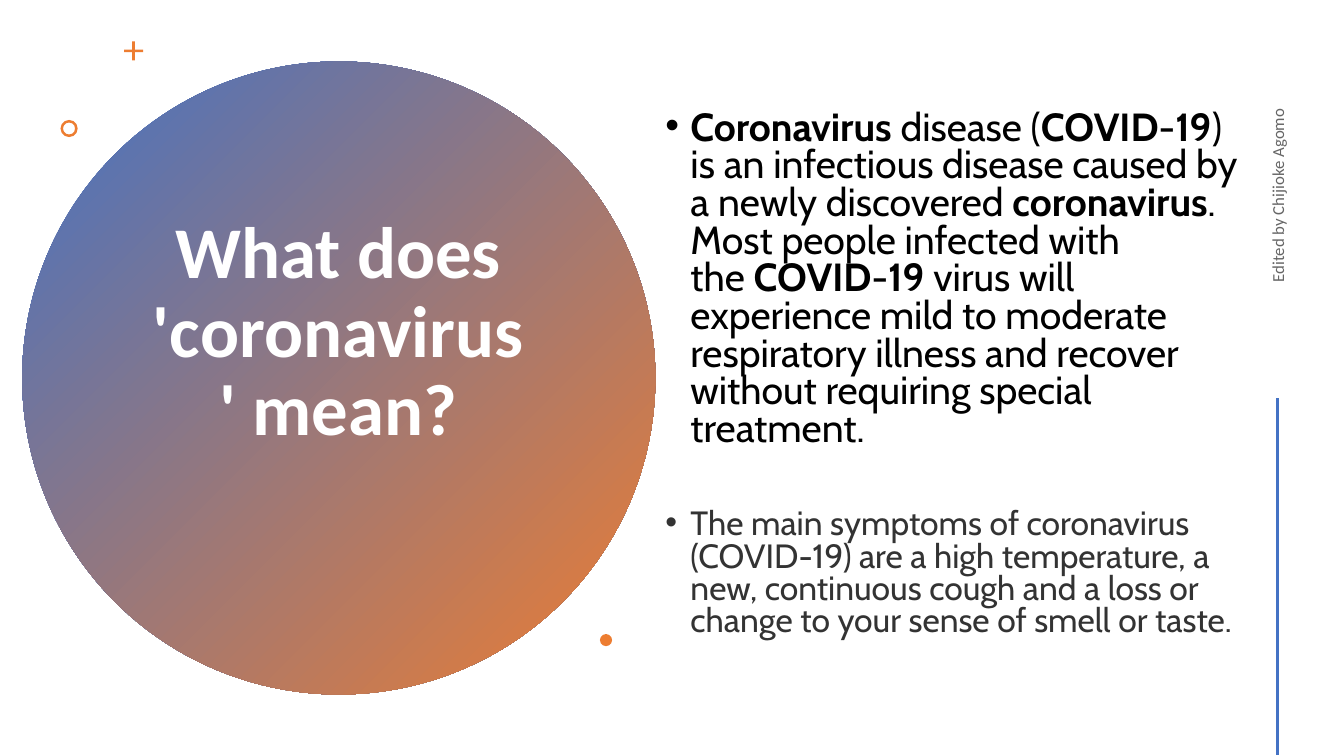
from lxml.etree import SubElement
from pptx import Presentation
from pptx.dml.color import RGBColor
from pptx.enum.shapes import MSO_CONNECTOR as Link, MSO_SHAPE as Kind
from pptx.enum.text import MSO_ANCHOR as Anchor, PP_ALIGN as Align
from pptx.oxml.ns import qn
from pptx.util import Inches, Pt

BLUE, ORANGE, WHITE, BLACK = "4472C4", "ED7D31", "FFFFFF", "000000"
DARK, GREY = "333333", "666666"
HARD = chr(160)  # no-break space


def tint(code):
    return RGBColor.from_string(code)


def apply(item, values):
    for name, value in values.items():
        setattr(item, name, value)


class Deck:
    """Places elements by percent of the slide's width and height."""

    def __init__(self, wide=13.33, high=7.5):
        self.show = Presentation()
        self.show.slide_width = Inches(wide)
        self.show.slide_height = Inches(high)
        self.slide = self.show.slides.add_slide(self.show.slide_layouts[6])

    def scale(self, *marks):
        """Turn alternating x and y percents into lengths."""
        sides = self.show.slide_width, self.show.slide_height
        return [round(sides[i % 2] * m / 100) for i, m in enumerate(marks)]

    def shape(self, kind, box, fills, adjust=None):
        form = self.slide.shapes.add_shape(kind, *self.scale(*box))
        form.shadow.inherit = False
        form.line.fill.background()
        if adjust is not None:
            form.adjustments[0] = adjust
        if len(fills) == 1:
            form.fill.solid()
            form.fill.fore_color.rgb = tint(fills[0])
        else:
            form.fill.gradient()
            form.fill.gradient_angle = 315
            for stop, code in zip(form.fill.gradient_stops, fills):
                stop.color.rgb = tint(code)

    def line(self, start, end, code, width):
        rule = self.slide.shapes.add_connector(
            Link.STRAIGHT, *self.scale(*start, *end))
        rule.line.color.rgb = tint(code)
        rule.line.width = Pt(width)
        SubElement(rule._element.spPr, qn("a:effectLst"))

    def text(self, box, paras, turn=0, top=0.05, bottom=0.05):
        """Each paragraph is (runs, font, format, bulleted); odd runs are plain."""
        area = self.slide.shapes.add_textbox(*self.scale(*box))
        area.rotation = turn
        frame = area.text_frame
        apply(frame, dict(word_wrap=True, vertical_anchor=Anchor.MIDDLE,
                          margin_top=Inches(top), margin_bottom=Inches(bottom)))
        for i, (runs, font, form, listed) in enumerate(paras):
            para = frame.add_paragraph() if i else frame.paragraphs[0]
            apply(para, form)
            if listed:
                self.bullet(para)
            for j, words in enumerate(runs):
                run = para.add_run()
                run.text = words
                code, style = font
                apply(run.font, {**style, "bold": style["bold"] and j % 2 == 0})
                run.font.color.rgb = tint(code)

    def bullet(self, para, indent=0.25):
        props = para._p.get_or_add_pPr()
        props.set("marL", str(Inches(indent)))
        props.set("indent", str(-Inches(indent)))
        SubElement(props, qn("a:buFont")).set("typeface", "Arial")
        SubElement(props, qn("a:buChar")).set("char", "•")


def style(size, name, bold=False):
    return dict(size=Pt(size), name=name, bold=bold)


def main():
    deck = Deck()
    deck.shape(Kind.OVAL, (1.65, 8.13, 47.11, 83.73), (BLUE, ORANGE))
    deck.text(
        (10.2, 18.8, 29.93, 62.27),
        [(["What does 'coronavirus' mean?"], (WHITE, style(52, "Calibri", True)),
          dict(alignment=Align.CENTER, line_spacing=0.9), False)],
        bottom=0.92)

    deck.shape(Kind.CROSS, (9.23, 5.47, 1.43, 2.53), (ORANGE,), 0.43)
    deck.shape(Kind.DONUT, (4.5, 15.87, 1.28, 2.27), (ORANGE,), 0.15)
    deck.shape(Kind.OVAL, (44.64, 83.87, 0.9, 1.6), (ORANGE,))

    disease = [
        "Coronavirus", f"{HARD}disease (", "COVID", "-", "19",
        f") is an infectious disease caused by a newly discovered{HARD}",
        "coronavirus", f". Most people infected with the{HARD}",
        "COVID", "-", "19",
        f"{HARD}virus will experience mild to moderate respiratory illness"
        " and recover without requiring special treatment."]
    signs = ["The main symptoms of coronavirus (COVID-19) are a high temperature,"
             " a new, continuous cough and a loss or change to your sense of"
             " smell or taste."]
    deck.text(
        (48.76, 5.07, 44.79, 92.67),
        [(disease, (BLACK, style(28, "Cabin", True)),
          dict(line_spacing=0.8), True),
         (signs, (DARK, style(24, "Cabin")),
          dict(line_spacing=0.8, space_before=Pt(43)), True)],
        top=0.19, bottom=0.46)

    deck.text(
        (80.5, 23.2, 29.11, 5.33),
        [(["Edited by Chijioke Agomo"], (GREY, style(12, "Calibri")),
          dict(alignment=Align.CENTER, space_after=Pt(6)), False)],
        turn=270)
    deck.line((95.05, 52.67), (95.05, 99.87), BLUE, 2)
    deck.show.save("out.pptx")


if __name__ == "__main__":
    main()
